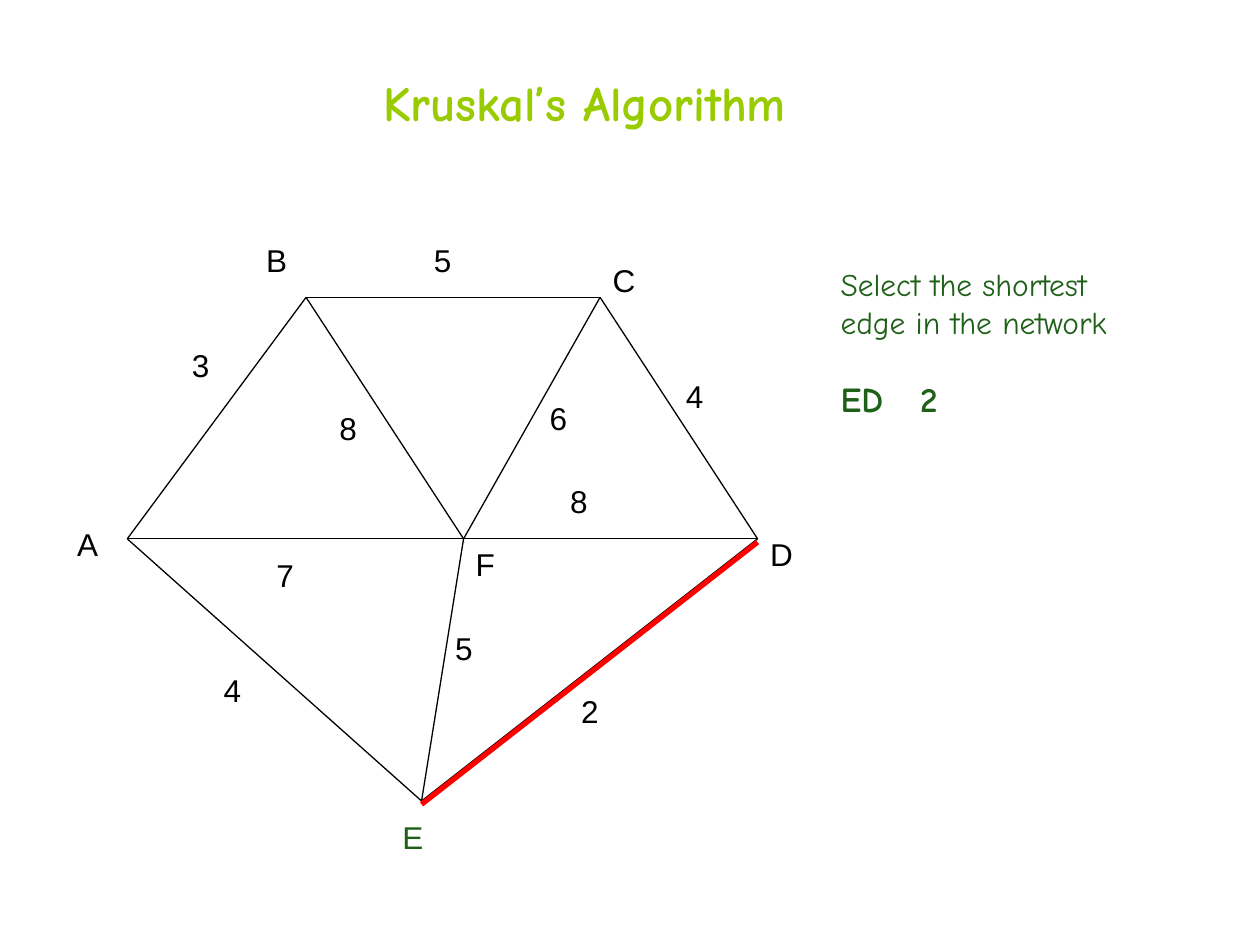
"""Build a slide showing the first step of Kruskal's algorithm on a network."""
from lxml.etree import SubElement
from pptx import Presentation
from pptx.dml.color import RGBColor
from pptx.oxml.ns import qn
from pptx.util import Pt

BLACK, GREEN, LIME, RED = "000000", "1F6018", "99CC00", "FF0000"
TITLE = "Kruskal’s Algorithm"
STEP = "Select the shortest edge in the network"
CHOICE = "ED\t2"

NODES = {
    "A": (72.7, 307.9), "B": (174.9, 169.9), "C": (342.9, 169.9),
    "D": (432.9, 307.9), "E": (240.9, 457.7), "F": (264.9, 307.9),
}
NODE_LABELS = {
    "A": (43.2, 298.8), "B": (151.2, 136.8), "C": (349.2, 148.3),
    "D": (439.2, 304.6), "E": (229, 466.6), "F": (270.9, 310.3),
}
EDGES = [
    ("AB", "3", 108.7, 196.6), ("BC", "5", 247, 136.8),
    ("CD", "4", 391, 214.6), ("AF", "7", 157, 316.8),
    ("FD", "8", 324.9, 274.3), ("BF", "8", 193, 232.6),
    ("FC", "6", 313.2, 226.8), ("AE", "4", 126.9, 382.3),
    ("EF", "5", 259.2, 358.6), ("ED", "2", 331.2, 394.6),
]
CHOSEN, CHOSEN_DROP = "ED", 1.9


def rgb(code):
    return RGBColor.from_string(code)


def add_text(x, y, w, h, lines, color, font="Arial", spacing=0):
    """Add a text box of (text, size, bold, space before) lines."""
    tf = s.shapes.add_textbox(Pt(x), Pt(y), Pt(w), Pt(h)).text_frame
    tf.word_wrap = True
    tf.margin_left, tf.margin_top = Pt(0.9), Pt(1)
    tf.margin_right = tf.margin_bottom = 0
    for i, (text, size, bold, before) in enumerate(lines):
        p = tf.add_paragraph() if i else tf.paragraphs[0]
        r = p.add_run()
        r.text = text
        p.space_before = Pt(before)
        p.font.name, p.font.size, p.font.bold = font, Pt(size), bold
        p.font.color.rgb = rgb(color)
        if spacing:
            r.font._element.set("spc", str(round(spacing * 100)))
    return tf


def add_edges(pairs, color, width, drop=0):
    """Draw the lines between pairs of named nodes as one outline."""
    ends = [[(Pt(x), Pt(y + drop)) for x, y in map(NODES.get, pair)]
            for pair in pairs]
    path = s.shapes.build_freeform(*ends[0][0])
    for start, end in ends:
        if start != ends[0][0] or end != ends[0][1]:
            path.move_to(*start)
        path.add_line_segments([end], close=False)
    sp = path.convert_to_shape()
    sp.shadow.inherit = False
    sp.fill.background()
    sp.line.color.rgb = rgb(color)
    sp.line.width = Pt(width)


prs = Presentation()
prs.slide_width, prs.slide_height = Pt(720), Pt(540)
s = prs.slides.add_slide(prs.slide_layouts[6])

tf = add_text(479.5, 150.5, 169.2, 92.9,
              [(STEP, 18, False, 0), (CHOICE, 20, True, 21)],
              GREEN, "Comic Neue", -0.05)
tabs = SubElement(tf.paragraphs[1]._p.get_or_add_pPr(), qn("a:tabLst"))
SubElement(tabs, qn("a:tab"), pos=str(Pt(45.4)), algn="l")
tabs.addnext(tabs.getparent().find(qn("a:defRPr")))

add_edges([ends for ends, *_ in EDGES], BLACK, 0.74)
for _, weight, x, y in EDGES:
    add_text(x, y, 12.5, 23.8, [(weight, 18, False, 0)], BLACK)
add_edges([CHOSEN], RED, 3, CHOSEN_DROP)
for name, (x, y) in NODE_LABELS.items():
    add_text(x, y, 15, 23.8, [(name, 18, False, 0)], GREEN if name == "E" else BLACK)
add_text(218.2, 40.3, 260.6, 35.3, [(TITLE, 28, True, 0)], LIME, "Comic Neue", -0.05)

prs.save("out.pptx")
